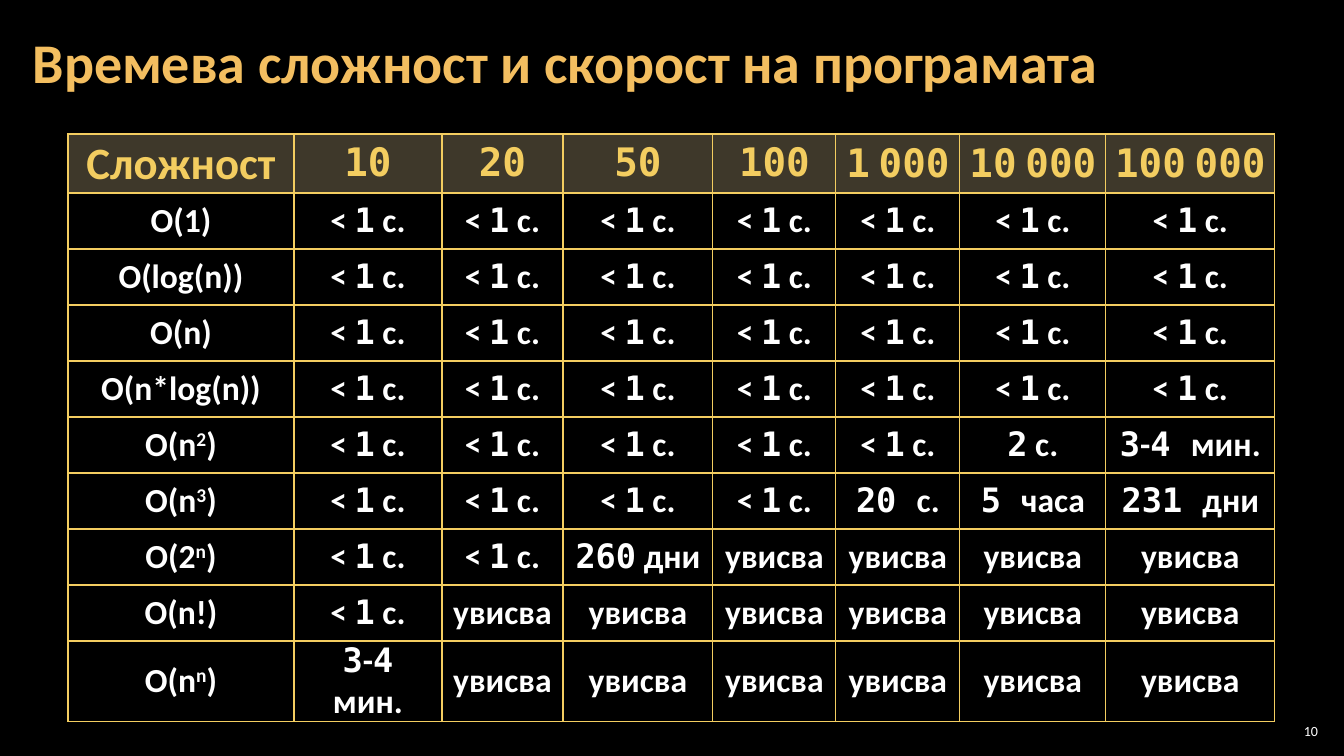
from lxml.etree import SubElement
from pptx import Presentation
from pptx.dml.color import RGBColor
from pptx.enum.text import MSO_ANCHOR as ANCHOR, PP_ALIGN as ALIGN
from pptx.oxml.ns import qn
from pptx.util import Emu, Pt

SLIDE_W, SLIDE_H = 1344, 756
EMU_PER_PX = 12192000 / SLIDE_W
COLORS = {
    "background": "000000",
    "title": "F3BE60",
    "gold": "F3CD60",
    "header": "7C7154",
    "body": "FFFFFF",
}
SANS, MONO = "Calibri", "DejaVu Sans Mono"

# In cell text, "|" switches between the two fonts and "^" toggles superscript.
SECOND = "< |1| с."
MINUTES = "|3|-|4 |мин."
HANGS = "увисва"
HEADINGS = ["Сложност", "|10", "|20", "|50", "|100",
            "|1| |000", "|10| |000", "|100| |000"]
RUN_TIMES = [
    ("O(1)", [SECOND] * 7),
    ("O(log(n))", [SECOND] * 7),
    ("O(n)", [SECOND] * 7),
    ("O(n*log(n))", [SECOND] * 7),
    ("O(n^2^)", [SECOND] * 5 + ["|2| с.", MINUTES]),
    ("O(n^3^)", [SECOND] * 4 + ["|20 |с.", "|5 |часа", "|231 |дни"]),
    ("O(2^n^)", [SECOND] * 2 + ["|260| дни"] + [HANGS] * 4),
    ("O(n!)", [SECOND] + [HANGS] * 6),
    ("O(n^n^)", [MINUTES] + [HANGS] * 6),
]
COLUMN_WIDTHS = [226, 148, 121, 150, 123, 124, 146, 169]
HEADER_HEIGHT, ROW_HEIGHT = 59, 56


def px(length):
    return Emu(round(length * EMU_PER_PX))


def rgb(name):
    return RGBColor.from_string(COLORS[name])


def write(frame, text, size, color, bold=True, align=ALIGN.LEFT,
          spacing=1.0, insets=(0, 0)):
    frame.word_wrap = True
    frame.vertical_anchor = ANCHOR.MIDDLE
    frame.margin_left = frame.margin_right = px(insets[0])
    frame.margin_top = frame.margin_bottom = px(insets[1])
    paragraph = frame.paragraphs[0]
    paragraph.alignment = align
    paragraph.line_spacing = spacing
    for font_turn, font_part in enumerate(text.split("|")):
        for level, part in enumerate(font_part.split("^")):
            if not part:
                continue
            run = paragraph.add_run()
            run.text = part
            run.font.name = MONO if font_turn % 2 else SANS
            run.font.size = Pt(size)
            run.font.bold = bold
            run.font.color.rgb = rgb(color)
            if level % 2:
                run.font._element.set("baseline", "30000")


def add_label(slide, box, text, **text_format):
    label = slide.shapes.add_textbox(*map(px, box))
    write(label.text_frame, text, **text_format)


def add_borders(cell):
    properties = cell._tc.get_or_add_tcPr()
    for side in ("a:lnL", "a:lnR", "a:lnT", "a:lnB"):
        border = SubElement(properties, qn(side), w=str(Pt(1)))
        fill = SubElement(border, qn("a:solidFill"))
        SubElement(fill, qn("a:srgbClr"), val=COLORS["gold"])


def fill_header(cell):
    cell.fill.solid()
    cell.fill.fore_color.rgb = rgb("header")
    tint = cell._tc.tcPr.find(qn("a:solidFill")).find(qn("a:srgbClr"))
    SubElement(tint, qn("a:alpha"), val="50000")


def add_run_times(slide, left, top):
    contents = [HEADINGS] + [[name, *times] for name, times in RUN_TIMES]
    heights = [HEADER_HEIGHT] + [ROW_HEIGHT] * len(RUN_TIMES)
    box = left, top, sum(COLUMN_WIDTHS), sum(heights)
    table = slide.shapes.add_table(
        len(contents), len(HEADINGS), *map(px, box)).table
    table.first_row = table.horz_banding = False
    for column, width in zip(table.columns, COLUMN_WIDTHS):
        column.width = px(width)
    for row, height, texts in zip(table.rows, heights, contents):
        row.height = px(height)
        is_header = texts is HEADINGS
        for index, (cell, text) in enumerate(zip(row.cells, texts)):
            add_borders(cell)
            cell.vertical_anchor = ANCHOR.MIDDLE
            cell.margin_left = cell.margin_right = px(7)
            cell.margin_top = cell.margin_bottom = 0
            if is_header:
                fill_header(cell)
                write(cell.text_frame, text, size=28 if index else 32,
                      color="gold", align=ALIGN.CENTER, spacing=0.95,
                      insets=(7, 0))
            else:
                cell.fill.background()
                write(cell.text_frame, text, size=24, color="body",
                      align=ALIGN.CENTER, insets=(7, 0))


def build_slide(deck):
    slide = deck.slides.add_slide(deck.slide_layouts[6])
    slide.background.fill.solid()
    slide.background.fill.fore_color.rgb = rgb("background")
    add_label(slide, (21, 4, 1301, 122),
              "Времева сложност и скорост на програмата",
              size=40, color="title", spacing=0.9, insets=(12, 4))
    add_run_times(slide, 68, 134)
    add_label(slide, (1275, 720, 47, 21), "10", size=10, color="body",
              bold=False, align=ALIGN.RIGHT, insets=(4, 4))


def main():
    deck = Presentation()
    deck.slide_width, deck.slide_height = px(SLIDE_W), px(SLIDE_H)
    build_slide(deck)
    deck.save("out.pptx")


if __name__ == "__main__":
    main()
